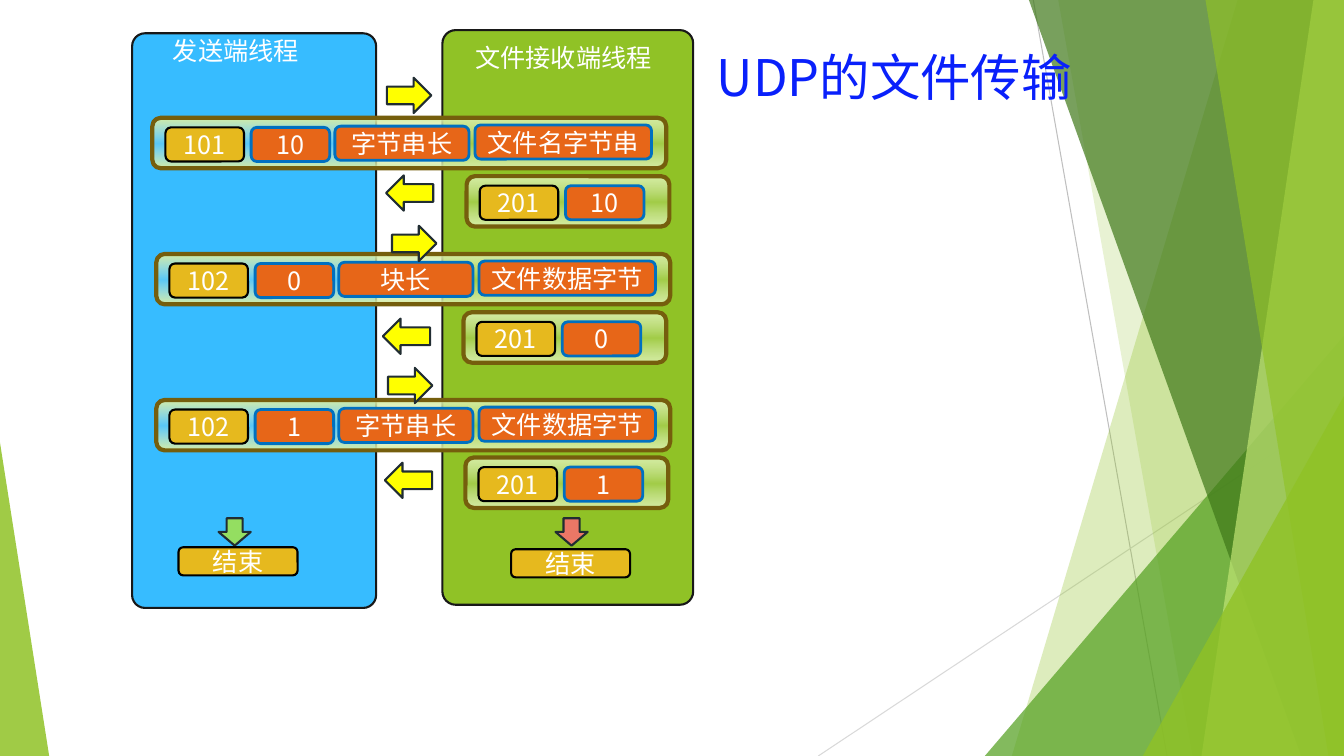
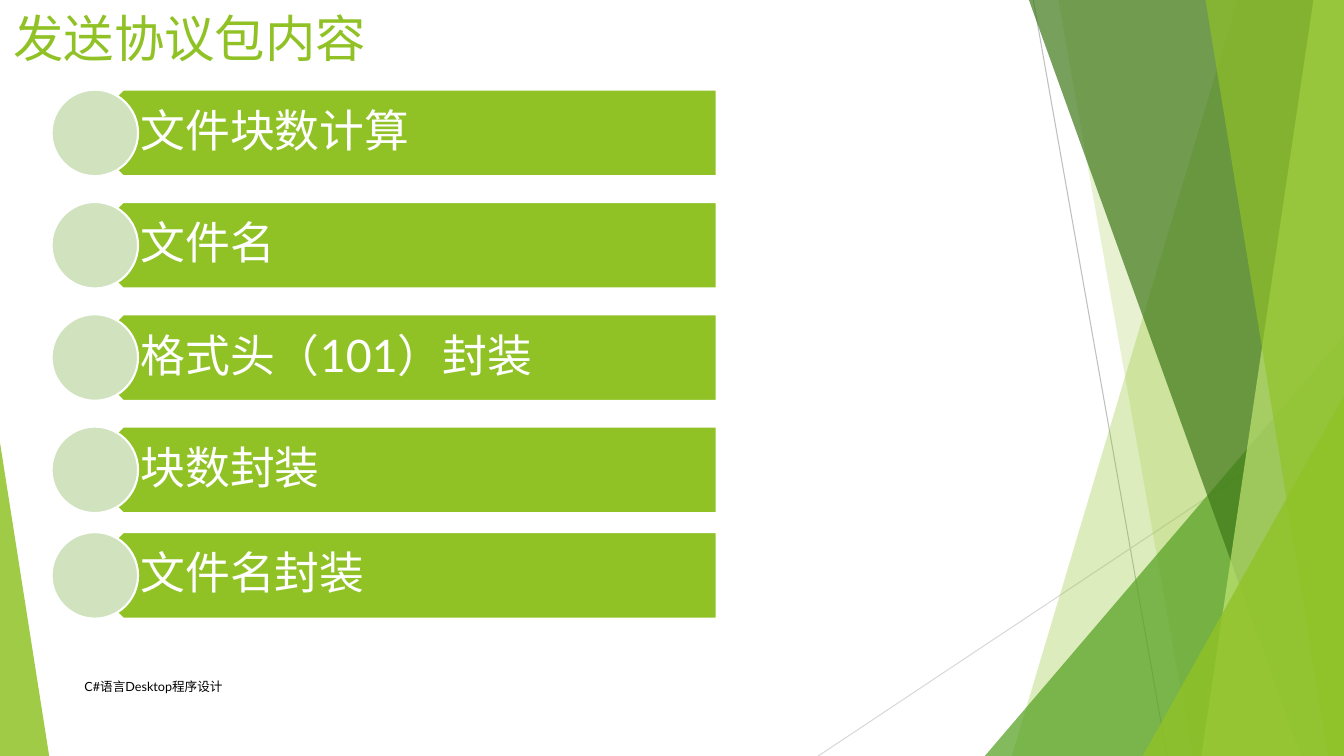
from lxml import etree
from pptx import Presentation
from pptx.dml.color import RGBColor
from pptx.enum.shapes import MSO_CONNECTOR, MSO_SHAPE
from pptx.enum.text import MSO_ANCHOR, MSO_AUTO_SIZE, PP_ALIGN
from pptx.oxml.ns import qn
from pptx.util import Cm, Pt

ROUND, TRIANGLE = MSO_SHAPE.ROUNDED_RECTANGLE, MSO_SHAPE.ISOSCELES_TRIANGLE
RIGHT, LEFT, DOWN = MSO_SHAPE.RIGHT_ARROW, MSO_SHAPE.LEFT_ARROW, MSO_SHAPE.DOWN_ARROW
PENTAGON, OVAL = MSO_SHAPE.PENTAGON, MSO_SHAPE.OVAL
TOP, MIDDLE = MSO_ANCHOR.TOP, MSO_ANCHOR.MIDDLE
ALIGN_LEFT, ALIGN_CENTER = PP_ALIGN.LEFT, PP_ALIGN.CENTER
STRAIGHT, NO_FIT = MSO_CONNECTOR.STRAIGHT, MSO_AUTO_SIZE.NONE

# Colours
WHITE = RGBColor(0xFF, 0xFF, 0xFF)
BLACK = RGBColor(0x00, 0x00, 0x00)
LIME = RGBColor(0x90, 0xC2, 0x26)
GREEN = RGBColor(0x54, 0xA0, 0x21)
DARK_GREEN = RGBColor(0x3F, 0x78, 0x19)
PALE_LIME = RGBColor(0xC0, 0xE4, 0x74)
PALE_GREEN = RGBColor(0xD1, 0xE3, 0xBE)
GREY = RGBColor(0xBF, 0xBF, 0xBF)
LIGHT_GREY = RGBColor(0xD9, 0xD9, 0xD9)
SKY = RGBColor(0x37, 0xBC, 0xFF)
TITLE_BLUE = RGBColor(0x09, 0x20, 0xFB)
PANEL_LINE = RGBColor(0x18, 0x18, 0x18)
ARROW_LINE = RGBColor(0x21, 0x2D, 0x32)
YELLOW = RGBColor(0xFF, 0xFF, 0x00)
GOLD = RGBColor(0xE6, 0xB9, 0x1E)
ORANGE = RGBColor(0xE7, 0x66, 0x18)
FIELD_LINE = RGBColor(0x00, 0x70, 0xC0)
FRAME_LINE = RGBColor(0x75, 0x5E, 0x0D)
FRAME_EDGE = RGBColor(0xD5, 0xED, 0xA2)
FRAME_MIDDLE = RGBColor(0xEA, 0xF6, 0xD1)
END_GREEN = RGBColor(0x94, 0xDE, 0x61)
END_RED = RGBColor(0xEB, 0x77, 0x66)

CJK, LATO = "Noto Sans CJK SC", "Lato"
W, H = 33.87, 19.05  # slide size in cm

# Packet fields: offset x, offset y, width
FIELDS = [(0.33, 0.24, 1.98), (2.49, 0.24, 1.98), (4.6, 0.21, 3.38), (8.13, 0.18, 4.45)]


def box(*lengths):
    return [Cm(v) for v in lengths]


def add_run(tf, text, size, color, font=CJK, align=ALIGN_LEFT):
    p = tf.paragraphs[0]
    p.alignment = align
    r = p.add_run()
    r.text = text
    r.font.size = Pt(size)
    r.font.color.rgb = color
    r.font.name = font
    etree.SubElement(r.font._element, qn("a:ea"), typeface=CJK)
    return p


def set_alpha(sp, percent):
    color = sp.element.find(".//" + qn("a:solidFill"))[0]
    etree.SubElement(color, qn("a:alpha"), val=str(percent * 1000))


def paint(sp, fill, line=None, width=1.5):
    sp.shadow.inherit = False
    sp.fill.solid()
    sp.fill.fore_color.rgb = fill
    if line is None:
        sp.line.fill.background()
    else:
        sp.line.color.rgb = line
        sp.line.width = Pt(width)


def add_shape(s, kind, x, y, w, h, fill, line=None, width=1.5, text="", adj=None):
    sp = s.shapes.add_shape(kind, *box(x, y, w, h))
    paint(sp, fill, line, width)
    if adj is not None:
        sp.adjustments[0] = adj
    if text:
        add_run(sp.text_frame, text, 18, WHITE, align=ALIGN_CENTER)
    return sp


def add_text(s, x, y, w, h, text, size, color, font=CJK, wrap=True, anchor=TOP):
    tf = s.shapes.add_textbox(*box(x, y, w, h)).text_frame
    tf.word_wrap = wrap
    tf.vertical_anchor = anchor
    add_run(tf, text, size, color, font)
    return tf


def set_title(s, x, y, w, h, text, color, font):
    sp = s.shapes.title
    sp.left, sp.top, sp.width, sp.height = box(x, y, w, h)
    tf = sp.text_frame
    tf.vertical_anchor = TOP
    tf.auto_size = NO_FIT
    add_run(tf, text, 36, color, font)


# Decoration shared through the slide master
def add_line(s, x1, y1, x2, y2, color):
    con = s.shapes.add_connector(STRAIGHT, *box(x1, y1, x2, y2))
    con.line.color.rgb = color
    con.line.width = Pt(0.75)
    etree.SubElement(con.element.find(qn("p:spPr")), qn("a:effectLst"))
    return con


def add_facet(s, x_top, x_bottom, color, alpha):
    fb = s.shapes.build_freeform(Cm(x_top), 0)
    fb.add_line_segments([box(W, 0), box(W, H), box(x_bottom, H)], close=True)
    sp = fb.convert_to_shape()
    paint(sp, color)
    set_alpha(sp, alpha)
    return sp


def add_corner(s, x, y, w, color, alpha, adj):
    sp = add_shape(s, TRIANGLE, x, y, w, H - y, color, adj=adj)
    set_alpha(sp, alpha)
    return sp


def decorate_master(prs, s):
    """Draw on a slide, then move the shapes behind the master's placeholders."""
    drawn = [
        add_line(s, 26.04, 0, 29.41, H, GREY),
        add_line(s, W, 10.24, 20.62, H, LIGHT_GREY),
        add_facet(s, 31.19, 25.5, LIME, 30),
        add_facet(s, 26.67, 30.05, LIME, 20),
        add_corner(s, 24.82, 8.46, W - 24.82, GREEN, 72, 1),
        add_facet(s, 25.93, 32.79, DARK_GREEN, 70),
        add_facet(s, 33.1, 30.28, PALE_LIME, 70),
        add_facet(s, 30.38, 33.48, LIME, 65),
        add_corner(s, 28.8, 9.98, W - 28.8, LIME, 80, 1),
        add_corner(s, 0, 11.15, 1.24, LIME, 85, 0),
    ]
    tree = prs.slide_master.shapes.element
    for i, sp in enumerate(drawn):
        next(sp.element.iter(qn("p:cNvPr"))).set("id", str(100 + i))
        tree.insert(2 + i, sp.element)


# Slide 1: file transfer
def add_frame(s, x, y, w):
    sp = add_shape(s, ROUND, x, y, w, 1.27, FRAME_EDGE, FRAME_LINE, 3)
    sp.fill.gradient()
    sp.fill.gradient_angle = 90
    stops = sp.element.find(".//" + qn("a:gsLst"))
    for stop in list(stops):
        stops.remove(stop)
    for pos, color, alpha in [(0, FRAME_EDGE, 100), (49, FRAME_MIDDLE, 19), (100, FRAME_EDGE, 100)]:
        stop = etree.SubElement(stops, qn("a:gs"), pos=str(pos * 1000))
        clr = etree.SubElement(stop, qn("a:srgbClr"), val=str(color))
        etree.SubElement(clr, qn("a:alpha"), val=str(alpha * 1000))


def add_packet(s, x, y, w, texts):
    add_frame(s, x, y, w)
    for i, (text, (dx, dy, fw)) in enumerate(zip(texts, FIELDS)):
        style = (ORANGE, FIELD_LINE, 2) if i else (GOLD, BLACK, 1.5)
        add_shape(s, ROUND, x + dx, y + dy, fw, 0.86, *style, text=text)


def build_transfer(s):
    set_title(s, 17.81, 1.04, 11.3, 1.85, "UDP的文件传输", TITLE_BLUE, CJK)
    # Thread panels with their labels
    for x, y, w, fill, tx, ty, tw, label in [
        (3.33, 0.84, 6.15, SKY, 4.11, 0.76, 3.71, "发送端线程"),
        (11.15, 0.76, 6.32, LIME, 11.73, 0.94, 5, "文件接收端线程"),
    ]:
        add_shape(s, ROUND, x, y, w, 14.48, fill, PANEL_LINE, adj=0.053)
        add_text(s, tx, ty, tw, 1.02, label, 18, WHITE, wrap=False)
    # Packets sent and replies
    for x, y, texts in [
        (3.84, 2.97, ("101", "10", "字节串长", "文件名字节串")),
        (3.94, 6.4, ("102", "0", "块长", "文件数据字节")),
        (3.94, 10.08, ("102", "1", "字节串长", "文件数据字节")),
    ]:
        add_packet(s, x, y, 12.95, texts)
    for x, y, number in [(11.76, 4.44, "10"), (11.68, 7.87, "0"), (11.73, 11.53, "1")]:
        add_packet(s, x, y, 5.11, ("201", number))
    # Direction arrows
    for kind, w, places in [
        (RIGHT, 1.12, [(9.75, 1.96), (9.88, 5.69), (9.78, 9.27)]),
        (LEFT, 1.19, [(9.73, 4.42), (9.65, 8.03), (9.7, 11.66)]),
    ]:
        for x, y in places:
            add_shape(s, kind, x, y, w, 0.89, YELLOW, ARROW_LINE)
    # End of both threads
    for ax, fill, x, y in [(5.51, END_GREEN, 4.5, 13.79), (14, END_RED, 12.88, 13.84)]:
        add_shape(s, DOWN, ax, 13.06, 0.81, 0.69, fill, ARROW_LINE)
        add_shape(s, ROUND, x, y, 3, 0.71, GOLD, BLACK, text="结束")


# Slide 2: packet content
def add_step(s, y, text):
    size = 2.18
    bar = add_shape(s, PENTAGON, 2.01, y, 16.05, size, LIME, WHITE)
    bar.rotation = 180
    tf = add_text(s, 2.57, y, 15.52, size, text, 32, WHITE, LATO, anchor=MIDDLE)
    tf.margin_left, tf.margin_top, tf.margin_right, tf.margin_bottom = box(0.97, 0.33, 0.64, 0.33)
    tf.paragraphs[0].line_spacing = 0.9
    add_shape(s, OVAL, 1.3, y, size, size, PALE_GREEN, WHITE)


def build_content(s):
    add_text(s, 1.88, 16.79, 17.5, 1.02, "C#语言Desktop程序设计", 9, BLACK, LATO, anchor=MIDDLE)
    set_title(s, 0.08, 0.05, 9.96, 1.8, "发送协议包内容", LIME, LATO)
    steps = ["文件块数计算", "文件名", "格式头（101）封装", "块数封装"]
    for i, text in enumerate(steps):
        add_step(s, 2.26 + i * 2.83, text)
    add_step(s, 13.41, "文件名封装")  # set slightly closer than the others


def main():
    prs = Presentation()
    prs.slide_width, prs.slide_height = box(W, H)
    layout = prs.slide_layouts[5]  # title only
    transfer = prs.slides.add_slide(layout)
    decorate_master(prs, transfer)
    build_transfer(transfer)
    build_content(prs.slides.add_slide(layout))
    prs.save("out.pptx")


if __name__ == "__main__":
    main()
